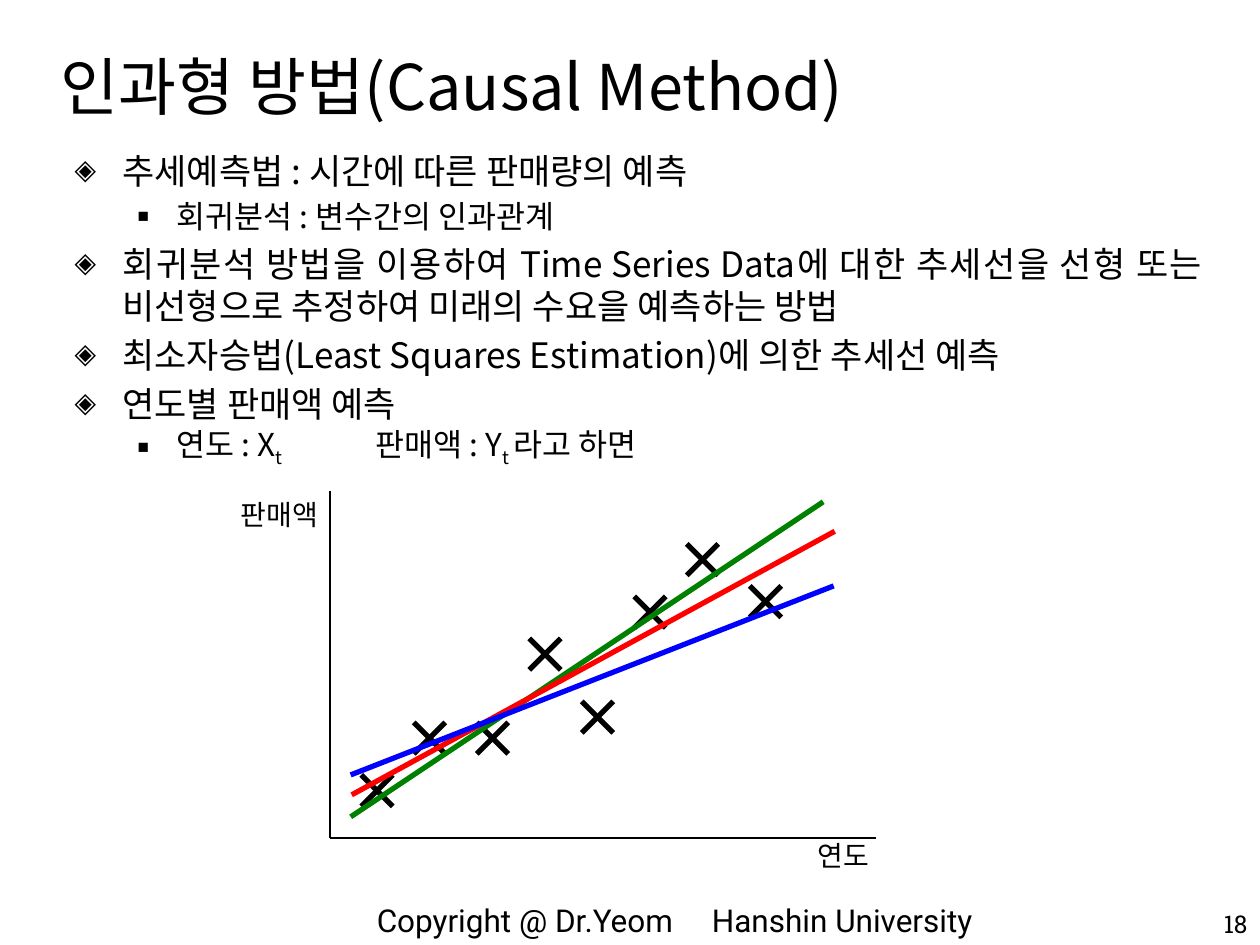
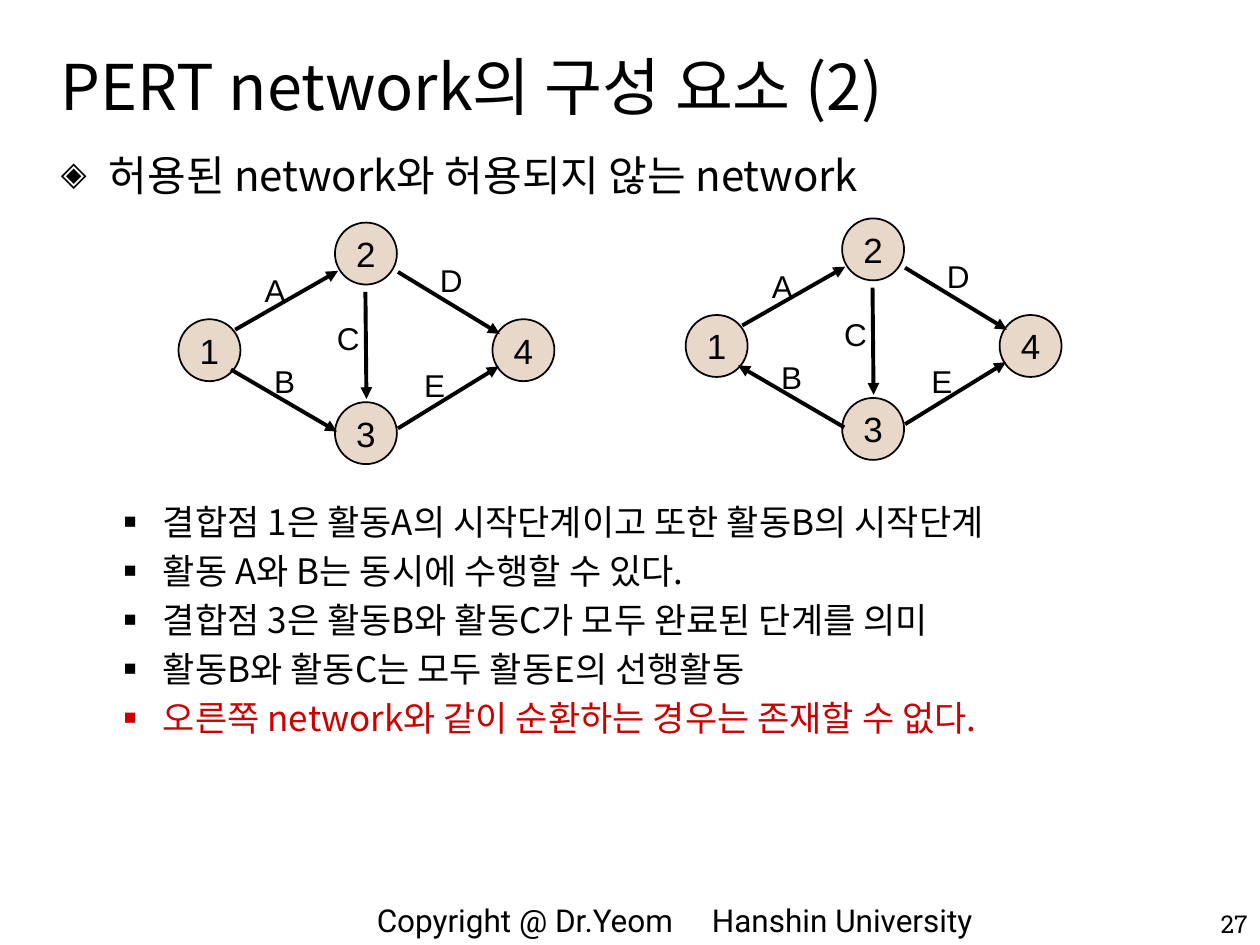
from lxml.etree import SubElement as Sub
from pptx import Presentation
from pptx.dml.color import RGBColor as Rgb
from pptx.enum.shapes import MSO_CONNECTOR as Conn, MSO_SHAPE as Kind
from pptx.enum.text import MSO_ANCHOR as Anchor, MSO_AUTO_SIZE as Auto, PP_ALIGN as Align
from pptx.oxml.ns import qn
from pptx.util import Inches, Pt

HUES = {"ink": "000000", "node": "E8D8CA", "alert": "CC0000",
        "green": "008000", "red": "FF0000", "blue": "0000FF"}
SANS, LATIN, FOOT, SERIF = "Noto Sans CJK KR", "Arial", "Roboto", "Roboto Slab"
WIDE, HIGH = Inches(10), Inches(7.5)
COLS, ROWS = 120, 90
LEVELS = [("◈", 80, 0.38, 0.38), ("■", 60, 0.81, 0.31)]

MARKS = [(3, 6), (8, 11), (14, 11), (19, 19), (24, 13), (29, 23), (34, 28), (40, 24)]
TRENDS = [("green", (2, 2), (47, 32)), ("red", (2.1, 4.1), (48.1, 29.2)),
          ("blue", (2, 6), (48, 24))]

NODES = {"1": (0, 9.2), "3": (14.9, 17.1), "2": (14.9, 0), "4": (29.9, 9.2)}
EDGES = {"A": ((5.4, 10.2), (15.2, 4.6), (9.2, 6.4)),
         "E": ((20.9, 19.6), (30.5, 13.7), (24.4, 15.5)),
         "D": ((20.9, 4.7), (30.6, 10.6), (25.9, 5.5)),
         "B": ((5, 14), (15.1, 19.9), (10.1, 15.1)),
         "C": ((17.8, 6.6), (17.9, 16.8), (16.1, 11))}


def col(n):
    return round(WIDE * n / COLS)


def row(n):
    return round(HIGH * n / ROWS)


def area(box):
    x, y, w, h = box
    return col(x), row(y), col(w), row(h)


def color(name):
    return Rgb.from_string(HUES[name])


def write(para, text, size, face=SANS, hue="ink", base=0):
    run = para.add_run()
    run.text = text
    font = run.font
    font.size, font.name = Pt(size), face
    font.color.rgb = color(hue)
    props = run.font._element
    Sub(props, qn("a:ea")).set("typeface", face)
    if base:
        props.set("baseline", str(base * 1000))


def tab(para, pos):
    tabs = Sub(para._p.get_or_add_pPr(), qn("a:tabLst"))
    Sub(tabs, qn("a:tab"), pos=str(Inches(pos)), algn="l")


def label(shapes, box, text, size, face=SANS, align=Align.CENTER, anchor=Anchor.MIDDLE):
    frame = shapes.add_textbox(*area(box)).text_frame
    frame.word_wrap = False
    frame.vertical_anchor = anchor
    para = frame.paragraphs[0]
    para.alignment = align
    write(para, text, size, face)
    return para


def line(shapes, start, end, hue="ink", width=1, arrow=False):
    link = shapes.add_connector(Conn.STRAIGHT, col(start[0]), row(start[1]),
                                col(end[0]), row(end[1]))
    link.line.color.rgb = color(hue)
    link.line.width = Pt(width)
    if arrow:
        Sub(link.line._get_or_add_ln(), qn("a:tailEnd"), type="triangle")
    Sub(link._element.spPr, qn("a:effectLst"))


def place(shape, box):
    shape.left, shape.top, shape.width, shape.height = area(box)
    frame = shape.text_frame
    frame.auto_size = Auto.NONE
    frame.word_wrap = True
    return frame


def page(deck, title, number):
    slide = deck.slides.add_slide(deck.slide_layouts[1])
    frame = place(slide.shapes.title, (4.6, 3.5, 112, 8.8))
    frame.vertical_anchor = Anchor.BOTTOM
    para = frame.paragraphs[0]
    para.alignment = Align.LEFT
    para.line_spacing = Pt(43)
    write(para, title, 36)
    foot = label(slide.shapes, (34.7, 85.3, 70, 4.7), "Copyright @ Dr.Yeom\t", 18, FOOT, Align.LEFT)
    write(foot, "Hanshin University", 18, FOOT)
    tab(foot, 2.66)
    label(slide.shapes, (106, 86, 14, 4), number, 14, SERIF, Align.RIGHT, Anchor.BOTTOM)
    return slide


def item(frame, level, size, runs, align=Align.LEFT, gap=None, stop=None):
    first = frame.paragraphs[0]
    para = frame.add_paragraph() if first.runs else first
    para.level, para.alignment = level, align
    para.line_spacing = Pt(size * 1.2)
    para.space_before = Pt(size * 0.2 if gap is None else gap)
    sign, scale, left, hang = LEVELS[level]
    props = para._p.get_or_add_pPr()
    props.set("marL", str(Inches(left)))
    props.set("indent", str(-Inches(hang)))
    Sub(props, qn("a:buSzPct"), val=str(scale * 1000))
    Sub(props, qn("a:buChar"), char=sign)
    if stop:
        tab(para, stop)
    for text, style in runs:
        write(para, text, size, **style)


def plot(slide, box):
    x, y, w, h = box
    foot = y + h

    def spot(point):
        return x + point[0], foot - point[1]

    axes = slide.shapes.add_group_shape().shapes
    line(axes, (x, y), (x, foot))
    line(axes, (x, foot), (x + w, foot))
    label(axes, (x + w - 7, foot - 0.5, 7.8, 4.4), "연도", 16)
    label(axes, (x - 10, y, 10.4, 4.4), "판매액", 16)
    marks = slide.shapes.add_group_shape().shapes
    for a, b in MARKS:
        line(marks, spot((a, b)), spot((a + 3, b - 3)), width=3)
        line(marks, spot((a + 3, b)), spot((a, b - 3)), width=3)
    for hue, start, end in TRENDS:
        line(slide.shapes, spot(start), spot(end), hue, 3)


def graph(slide, x, y, turned=""):
    shapes = slide.shapes.add_group_shape().shapes
    for name, (a, b) in NODES.items():
        node = shapes.add_shape(Kind.OVAL, *area((x + a, y + b, 5.9, 5.9)))
        node.shadow.inherit = False
        node.fill.solid()
        node.fill.fore_color.rgb = color("node")
        node.line.color.rgb = color("ink")
        node.line.width = Pt(1)
        frame = node.text_frame
        frame.word_wrap = False
        frame.vertical_anchor = Anchor.MIDDLE
        para = frame.paragraphs[0]
        para.alignment = Align.CENTER
        write(para, name, 20, LATIN)
    for name, (start, end, mid) in EDGES.items():
        ends = [(x + a, y + b) for a, b in (start, end)]
        if name in turned:
            ends.reverse()
        line(shapes, *ends, width=2.25, arrow=True)
        label(shapes, (x + mid[0] - 2.2, y + mid[1] - 2.4, 4.4, 4.8), name, 18, LATIN)


def causal(deck):
    slide = page(deck, "인과형 방법(Causal Method)", "18")
    frame = place(slide.placeholders[1], (5.9, 13.6, 109.8, 34.2))
    low = {"base": -25}
    items = [
        (0, [("추세예측법 : 시간에 따른 판매량의 예측", {})]),
        (1, [("회귀분석 : 변수간의 인과관계", {})]),
        (0, [("회귀분석 방법을 이용하여 Time Series Data에 대한 추세선을 선형 또는 "
              "비선형으로 추정하여 미래의 수요을 예측하는 방법", {})]),
        (0, [("최소자승법(Least Squares Estimation)에 의한 추세선 예측", {})]),
        (0, [("연도별 판매액 예측", {})]),
        (1, [("연도 : X", {}), ("t\t", low), ("판매액 : Y", {}), ("t ", low), ("라고 하면", {})])]
    for level, runs in items:
        item(frame, level, 20 - 2 * level, runs, Align.JUSTIFY, stop=2.39 if len(runs) > 1 else None)
    plot(slide, (31.4, 46.8, 52, 33))


def pert(deck):
    slide = page(deck, "PERT network의 구성 요소 (2)", "27")
    frame = place(slide.placeholders[1], (4.6, 13.6, 112.4, 71.5))
    item(frame, 0, 24, [("허용된 network와 허용되지 않는 network", {})])
    facts = ["결합점 1은 활동A의 시작단계이고 또한 활동B의 시작단계",
             "활동 A와 B는 동시에 수행할 수 있다.",
             "결합점 3은 활동B와 활동C가 모두 완료된 단계를 의미",
             "활동B와 활동C는 모두 활동E의 선행활동",
             "오른쪽 network와 같이 순환하는 경우는 존재할 수 없다."]
    for i, fact in enumerate(facts):
        hue = "alert" if fact == facts[-1] else "ink"
        item(frame, 1, 20, [(fact, {"hue": hue})], gap=None if i else 172)
    graph(slide, 17, 21.2)
    graph(slide, 65.3, 20.8, turned="B")


def main():
    deck = Presentation()
    deck.slide_width, deck.slide_height = WIDE, HIGH
    causal(deck)
    pert(deck)
    deck.save("out.pptx")


if __name__ == "__main__":
    main()
